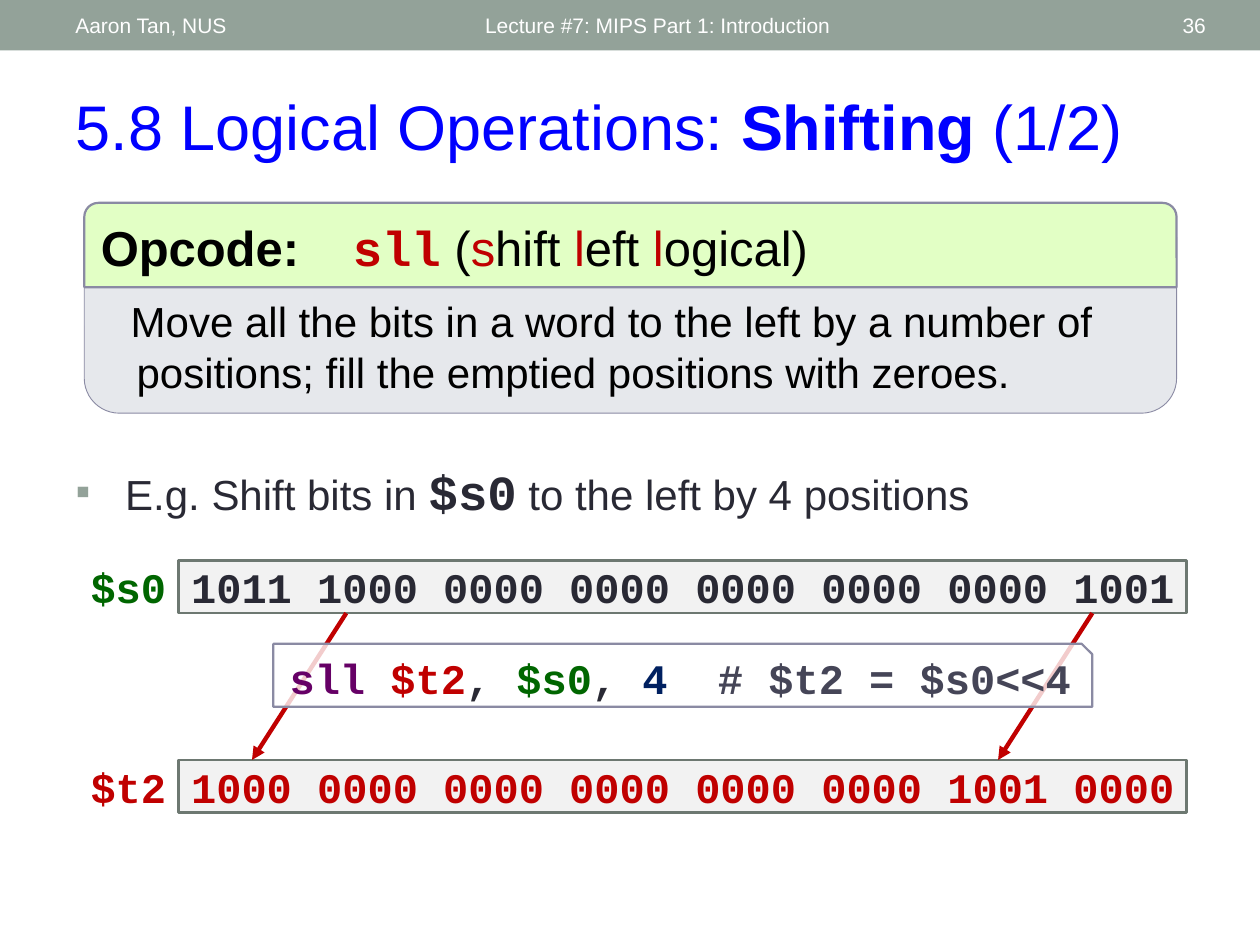
from dataclasses import dataclass

from lxml.etree import SubElement
from pptx import Presentation
from pptx.dml.color import RGBColor
from pptx.enum.shapes import MSO_CONNECTOR, MSO_SHAPE
from pptx.enum.text import MSO_ANCHOR, MSO_AUTO_SIZE, PP_ALIGN
from pptx.oxml.ns import qn
from pptx.util import Cm, Pt


@dataclass(frozen=True)
class Theme:
    sans: str = "Arial"
    mono: str = "Courier New"
    small: int = 12
    text: int = 24
    large: int = 28
    title: int = 36
    band: str = "93A299"
    white: str = "FFFFFF"
    black: str = "000000"
    blue: str = "0000FF"
    navy: str = "002060"
    ink: str = "292934"
    red: str = "C00000"
    green: str = "006600"
    purple: str = "660066"
    comment: str = "454557"
    outline: str = "8A8AA3"
    lime: str = "E2FFC5"
    mist: str = "E6E8EC"
    bits: str = "F2F2F2"
    bits_line: str = "6D7871"


THEME = Theme()


def color(value):
    return RGBColor.from_string(value)


def place(shape, left, top, width, height):
    shape.left, shape.top = Cm(left), Cm(top)
    shape.width, shape.height = Cm(width), Cm(height)


def write(shape, runs, size, font=THEME.sans, bold=False, align=PP_ALIGN.LEFT,
          anchor=MSO_ANCHOR.MIDDLE, wrap=True, before=0):
    """Fill one paragraph; each run is (text, color, overrides)."""
    frame = shape.text_frame
    frame.word_wrap = wrap
    frame.auto_size = MSO_AUTO_SIZE.NONE
    frame.vertical_anchor = anchor
    paragraph = frame.paragraphs[0]
    paragraph.alignment = align
    paragraph.space_before = Pt(before)
    for text, run_color, *overrides in runs:
        style = {"size": size, "font": font, "bold": bold}
        style.update(*overrides)
        run = paragraph.add_run()
        run.text = text
        run.font.name = style["font"]
        run.font.size = Pt(style["size"])
        run.font.bold = style["bold"]
        run.font.color.rgb = color(run_color)
    return paragraph


def indent(paragraph, margin, first_line):
    properties = paragraph._p.get_or_add_pPr()
    properties.set("marL", str(Cm(margin)))
    properties.set("indent", str(Cm(first_line)))
    return properties


def add_label(slide, box, text, text_color, size, **style):
    label = slide.shapes.add_textbox(*map(Cm, box))
    write(label, [(text, text_color)], size, **style)


def add_panel(slide, kind, box, fill, line=None, line_width=1.25):
    panel = slide.shapes.add_shape(kind, *map(Cm, box))
    panel.shadow.inherit = False
    panel.fill.solid()
    panel.fill.fore_color.rgb = color(fill)
    if line:
        panel.line.color.rgb = color(line)
        panel.line.width = Pt(line_width)
    else:
        panel.line.fill.background()
    return panel


def add_register(slide, top, name, name_color, bits, bits_color):
    style = {"font": THEME.mono, "bold": True, "wrap": False}
    panel = add_panel(slide, MSO_SHAPE.RECTANGLE, (3.6, top, 20.32, 1.06),
                      THEME.bits, THEME.bits_line, 1.5)
    write(panel, [(bits, bits_color)], THEME.text, align=PP_ALIGN.CENTER, **style)
    add_label(slide, (1.48, top, 2.12, 1.06), name, name_color, THEME.text,
              align=PP_ALIGN.RIGHT, **style)


def add_arrow(slide, start_x, start_y, end_x, end_y):
    arrow = slide.shapes.add_connector(
        MSO_CONNECTOR.STRAIGHT, Cm(start_x), Cm(start_y), Cm(end_x), Cm(end_y))
    arrow.line.color.rgb = color(THEME.red)
    arrow.line.width = Pt(2.5)
    SubElement(arrow.line._get_or_add_ln(), qn("a:tailEnd"), type="triangle")
    SubElement(arrow._element.spPr, qn("a:effectLst"))


def add_header(slide):
    add_panel(slide, MSO_SHAPE.RECTANGLE, (0, 0, 25.4, 1.02), THEME.band)
    for left, width, text, align in (
            (1.27, 8.05, "Aaron Tan, NUS", PP_ALIGN.LEFT),
            (9.53, 11.43, "Lecture #7: MIPS Part 1: Introduction", PP_ALIGN.LEFT),
            (22.15, 2.41, "36", PP_ALIGN.RIGHT)):
        add_label(slide, (left, 0.05, width, 0.91), text, THEME.white,
                  THEME.small, align=align)


def fill_placeholders(slide):
    title, body = slide.shapes.title, slide.placeholders[1]
    place(title, 1.27, 1.63, 23.29, 1.8)
    write(title, [("5.8 Logical Operations: ", THEME.blue),
                  ("Shifting", THEME.blue, {"bold": True}),
                  (" (1/2)", THEME.blue)], THEME.title, anchor=MSO_ANCHOR.TOP)
    place(body, 1.27, 9.17, 22.86, 1.9)
    code = {"font": THEME.mono, "size": THEME.large, "bold": True}
    example = write(body, [("E.g. Shift bits in ", THEME.ink),
                           ("$s0", THEME.ink, code),
                           (" to the left by 4 positions", THEME.ink)],
                    THEME.text, anchor=MSO_ANCHOR.TOP, before=5.6)
    properties = indent(example, 1, -1)
    bullet_color = SubElement(properties, qn("a:buClr"))
    SubElement(bullet_color, qn("a:srgbClr"), val=THEME.band)
    SubElement(properties, qn("a:buChar"), char="▪")


def add_opcode_card(slide):
    # Description panel
    left, top, width = 1.7, 4.09, 22.02
    panel = add_panel(slide, MSO_SHAPE.ROUNDED_RECTANGLE, (left, top, width, 4.24),
                      THEME.mist, THEME.outline, 0.5)
    description = write(panel, [(
        "Move all the bits in a word to the left by a number of positions; "
        "fill the emptied positions with zeroes.", THEME.black)],
        THEME.text, anchor=MSO_ANCHOR.BOTTOM, before=9.6)
    indent(description, 0.6, -0.12)

    # Opcode heading, with the initials in red
    heading = add_panel(slide, MSO_SHAPE.ROUND_2_SAME_RECTANGLE,
                        (left, top, width, 1.7), THEME.lime, THEME.outline)
    runs = [("Opcode:\t", THEME.black, {"bold": True}),
            ("sll", THEME.red, {"font": THEME.mono, "bold": True}),
            (" (", THEME.black)]
    for initial, rest in (("s", "hift "), ("l", "eft "), ("l", "ogical)")):
        runs += [(initial, THEME.red), (rest, THEME.black)]
    opcode = write(heading, runs, THEME.large, before=11)
    tabs = SubElement(indent(opcode, 0, 0), qn("a:tabLst"))
    SubElement(tabs, qn("a:tab"), pos=str(Cm(6.48)), algn="l")


def add_instruction(slide):
    panel = add_panel(slide, MSO_SHAPE.SNIP_1_RECTANGLE, (5.51, 12.98, 16.51, 1.27),
                      THEME.white, THEME.outline)
    fill_color = panel._element.spPr.find(qn("a:solidFill"))[0]
    SubElement(fill_color, qn("a:alpha"), val="80000")
    write(panel, [("sll ", THEME.purple), ("$t2", THEME.red), (", ", THEME.ink),
                  ("$s0", THEME.green), (", ", THEME.ink), ("4  ", THEME.navy),
                  ("# $t2 = $s0<<4", THEME.comment)],
          THEME.text, font=THEME.mono, bold=True, align=PP_ALIGN.CENTER, wrap=False)


def main():
    presentation = Presentation()
    presentation.slide_width, presentation.slide_height = Cm(25.4), Cm(19.05)
    slide = presentation.slides.add_slide(presentation.slide_layouts[1])
    add_header(slide)
    fill_placeholders(slide)
    add_opcode_card(slide)

    # Registers before and after the shift
    source_top, target_top = 11.3, 15.32
    add_register(slide, source_top, "$s0", THEME.green,
                 "1011 1000 0000 0000 0000 0000 0000 1001", THEME.ink)
    add_register(slide, target_top, "$t2", THEME.red,
                 "1000 0000 0000 0000 0000 0000 1001 0000", THEME.red)
    for start_x in (6.98, 22.02):
        add_arrow(slide, start_x, source_top + 1.06, start_x - 1.9, target_top)
    add_instruction(slide)
    presentation.save("out.pptx")


main()
